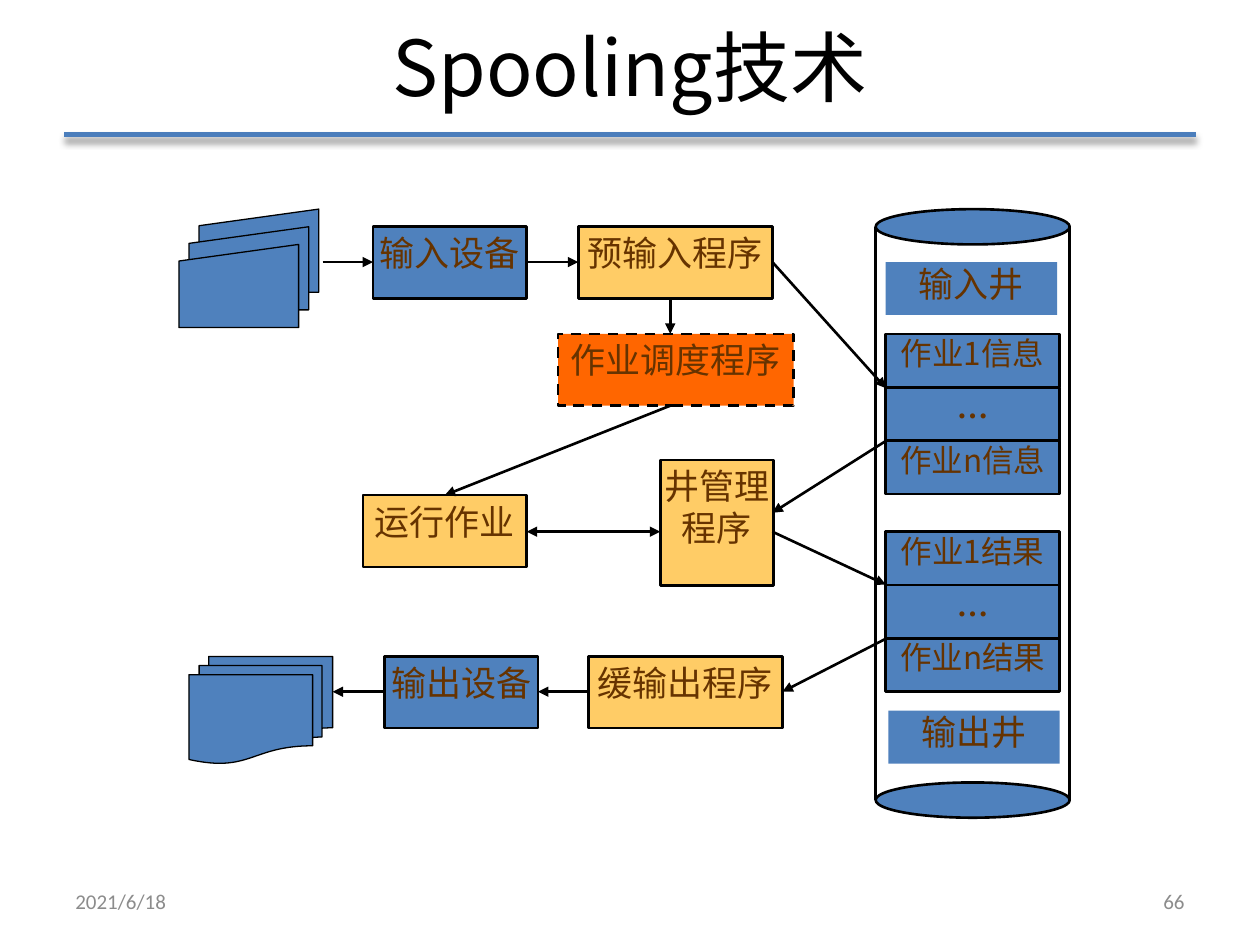
from lxml import etree
from pptx import Presentation
from pptx.dml.color import RGBColor
from pptx.enum.dml import MSO_LINE
from pptx.enum.shapes import MSO_CONNECTOR, MSO_SHAPE
from pptx.enum.text import MSO_ANCHOR, PP_ALIGN
from pptx.oxml.ns import qn
from pptx.util import Inches, Pt

BLUE, GOLD, ORANGE = "4F81BD", "FFCC66", "FF6600"
BLACK, BROWN, GRAY = "000000", "663300", "8C8C8C"
SANS = "Noto Sans CJK JP"
STEP = 0.57  # height of a process box


def color(value):
    return RGBColor.from_string(value)


def write(shape, text, size=20, font=SANS, ink=BROWN, bold=False,
          align=PP_ALIGN.CENTER, anchor=MSO_ANCHOR.TOP, inset=(0, 0, 0, 0)):
    frame = shape.text_frame
    left, top, right, bottom = (Inches(n) for n in inset)
    layout = {"word_wrap": True, "vertical_anchor": anchor,
              "margin_left": left, "margin_top": top,
              "margin_right": right, "margin_bottom": bottom}
    for key, value in layout.items():
        setattr(frame, key, value)
    frame.text = text
    for para in frame.paragraphs:
        para.alignment = align
        for run in para.runs:
            style = {"size": Pt(size), "bold": bold, "name": font}
            for key, value in style.items():
                setattr(run.font, key, value)
            run.font.color.rgb = color(ink)
            etree.SubElement(run.font._element, qn("a:ea"), typeface=font)


def label(slide, box, text, **style):
    area = slide.shapes.add_textbox(*(Inches(n) for n in box))
    write(area, text, anchor=MSO_ANCHOR.MIDDLE,
          inset=(0.1, 0.05, 0.1, 0.05), **style)


def block(slide, box, kind=MSO_SHAPE.RECTANGLE, fill=BLUE, width=1.5):
    """Add a filled shape; a width of 0 leaves out its outline."""
    shape = slide.shapes.add_shape(kind, *(Inches(n) for n in box))
    shape.shadow.inherit = False
    shape.fill.solid()
    shape.fill.fore_color.rgb = color(fill)
    if width:
        shape.line.color.rgb = color(BLACK)
        shape.line.width = Pt(width)
    else:
        shape.line.fill.background()
    return shape


def process(slide, box, text, fill=GOLD):
    shape = block(slide, box, fill=fill)
    write(shape, text, inset=(0, 0.04, 0, 0))
    return shape


def line(slide, start, end, ink=BLACK, width=1.5, ends=()):
    """Draw a line with arrowheads at the named ends; return its effects."""
    link = slide.shapes.add_connector(
        MSO_CONNECTOR.STRAIGHT, *(Inches(n) for n in start + end))
    link.line.color.rgb = color(ink)
    link.line.width = Pt(width)
    for tip in ends:
        etree.SubElement(link.line._get_or_add_ln(), qn(f"a:{tip}"),
                         type="triangle")
    return etree.SubElement(link._element.spPr, qn("a:effectLst"))


def arrow(slide, start, end, ends=("tailEnd",)):
    line(slide, start, end, ends=ends)


def header(slide, box):
    left, top, width, height = box
    rule = top + height
    glow = line(slide, (left + 0.01, rule), (left + width - 0.01, rule),
                "4B7EBC", 3)
    shade = etree.SubElement(glow, qn("a:outerShdw"), blurRad=str(Pt(4)),
                             dist=str(Pt(3)), dir="5400000", rotWithShape="0")
    tint = etree.SubElement(shade, qn("a:srgbClr"), val=BLACK)
    etree.SubElement(tint, qn("a:alpha"), val="40000")
    label(slide, box, "Spooling技术", size=44, ink=BLACK)


def footer(slide, box):
    left, top, width, height = box
    part = 2.33
    for x, text, align in ((left, "2021/6/18", PP_ALIGN.LEFT),
                           (left + width - part, "66", PP_ALIGN.RIGHT)):
        label(slide, (x, top, part, height), text, size=12, font="Calibri",
              ink=GRAY, align=align)


def stack(slide, box, noun):
    left, top, width, height = box
    row = height / 3
    for i, text in enumerate((f"作业1{noun}", "…", f"作业n{noun}")):
        cell = block(slide, (left, top + i * row, width, row))
        dots = text == "…"
        write(cell, text, size=18, bold=dots,
              font="Times New Roman" if dots else SANS)


def disk(slide, box):
    left, top, width, height = box
    cap = 0.28
    for y in (top, top + height - cap):
        block(slide, (left, y, width, cap), MSO_SHAPE.OVAL)
    for x in (left, left + width):
        line(slide, (x, top + cap / 2), (x, top + height - cap / 2))
    for x, y, text in ((0.08, 0.42, "输入井"), (0.1, 3.98, "输出井")):
        well = block(slide, (left + x, top + y, 1.36, 0.42), width=0)
        write(well, text)
    for y, noun in ((0.99, "信息"), (2.56, "结果")):
        stack(slide, (left + 0.08, top + y, 1.38, 1.27), noun)


def intake(slide, box):
    """Place the cards, the input device and the input program."""
    left, top, width, height = box
    for i in range(3):
        card = (left + 0.16 - 0.08 * i, top + 0.14 * i, 0.95, 0.66)
        block(slide, card, MSO_SHAPE.FLOWCHART_MANUAL_INPUT, width=0.75)
    row, mid = top + 0.14, top + 0.42
    process(slide, (left + 1.54, row, 1.22, STEP), "输入设备", BLUE)
    process(slide, (left + width - 1.54, row, 1.54, STEP), "预输入程序")
    arrow(slide, (left + 1.14, mid), (left + 1.54, mid))
    arrow(slide, (left + 2.76, mid), (left + width - 1.54, mid))


def jobs(slide, box):
    """Place the scheduler, the running job and the well manager."""
    left, top, width, height = box
    plan = process(slide, (left + 1.55, top, 1.87, STEP),
                   "作业调度程序", ORANGE)
    plan.line.dash_style = MSO_LINE.DASH
    process(slide, (left, top + 1.28, 1.3, STEP), "运行作业")
    process(slide, (left + 2.36, top + 1, 0.9, 1), "井管理\n程序")
    axis, mid = left + 2.44, top + 1.57
    arrow(slide, (axis, top - 0.28), (axis, top))
    arrow(slide, (axis, top + STEP), (left + 0.65, top + 1.28))
    arrow(slide, (left + 2.36, mid), (left + 1.3, mid),
          ("headEnd", "tailEnd"))


def output(slide, box):
    """Place the sheets, the output device and the output program."""
    left, top, width, height = box
    block(slide, (left, top, 1.14, height),
          MSO_SHAPE.FLOWCHART_MULTIDOCUMENT, width=0.75)
    process(slide, (left + 1.55, top, 1.22, STEP), "输出设备", BLUE)
    process(slide, (left + width - 1.54, top, 1.54, STEP), "缓输出程序")
    mid = top + 0.28
    arrow(slide, (left + width - 1.54, mid), (left + 2.77, mid))
    arrow(slide, (left + 1.55, mid), (left + 1.14, mid))


def links(slide, box):
    """Join the programs on the left edge to the wells on the right."""
    left, top, width, height = box
    right = left + width
    arrow(slide, (left, top), (right, top + 1))
    arrow(slide, (right, top + 1.42), (left, top + 1.99))
    arrow(slide, (left, top + 2.14), (right, top + 2.56))
    arrow(slide, (right, top + 2.99), (left + 0.08, top + height))


def main():
    deck = Presentation()
    deck.slide_width, deck.slide_height = Inches(10), Inches(7.5)
    slide = deck.slides.add_slide(deck.slide_layouts[6])
    header(slide, (0.5, -0.03, 9, 1.1))
    footer(slide, (0.5, 6.95, 9, 0.4))
    disk(slide, (6.95, 1.66, 1.54, 4.83))
    intake(slide, (1.42, 1.66, 4.71, 0.94))
    jobs(slide, (2.88, 2.65, 3.42, 2))
    output(slide, (1.5, 5.21, 4.71, 0.85))
    links(slide, (6.13, 2.08, 0.9, 3.41))
    deck.save("out.pptx")


if __name__ == "__main__":
    main()
